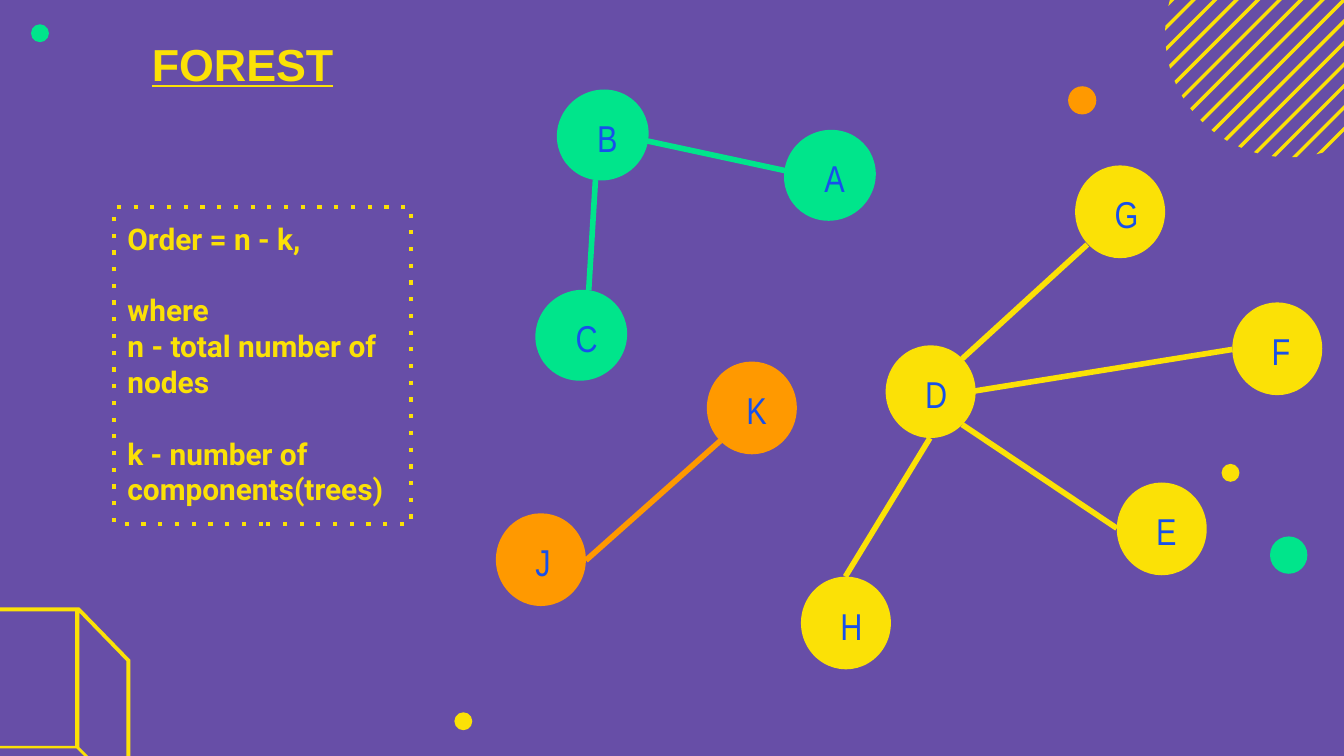
import math
import pptx
import pptx.dml.color
import pptx.enum.dml
import pptx.enum.shapes
import pptx.enum.text
import pptx.oxml.ns
import pptx.util
from lxml import etree

Pt = pptx.util.Pt
rgb = pptx.dml.color.RGBColor.from_string
KINDS = pptx.enum.shapes.MSO_SHAPE
GOLD, GREEN, AMBER, BLUE = "FBE106", "00E58B", "FF9900", "1750EB"


def paint(shape, hue):
    shape.shadow.inherit = False
    shape.fill.solid()
    shape.fill.fore_color.rgb = rgb(hue)
    shape.line.fill.background()


def write(shape, text, size, face, hue, bold=False):
    """Fill a top-left text frame, one paragraph per line of text."""
    frame = shape.text_frame
    frame.word_wrap = True
    frame.vertical_anchor = pptx.enum.text.MSO_ANCHOR.TOP
    frame.margin_left = frame.margin_right = Pt(7.2)
    frame.margin_top = frame.margin_bottom = Pt(7.2)
    frame.text = text
    for para in frame.paragraphs:
        para.alignment = pptx.enum.text.PP_ALIGN.LEFT
        for run in para.runs:
            run.font.size = Pt(size)
            run.font.name = face
            run.font.bold = bold
            run.font.color.rgb = rgb(hue)


deck = pptx.Presentation()
deck.slide_width, deck.slide_height = Pt(720), Pt(405)
slide = deck.slides.add_slide(deck.slide_layouts[6])
slide.background.fill.solid()
slide.background.fill.fore_color.rgb = rgb("674EA7")
shapes = slide.shapes

# Cube: outer outline with three faces cut out
cube = [
    [(-33.8, 325.4), (-33.8, 401), (-5.8, 429.1), (69.8, 429.1), (69.8, 353.5), (42.5, 325.4)],
    [(40.3, 327.6), (40.3, 399.6), (-31.7, 399.6), (-31.7, 327.6)],
    [(42.5, 328.3), (67.7, 354.2), (67.7, 425.5), (42.5, 400.3)],
    [(41, 401), (67, 427), (-5, 427), (-31, 401)],
]
build = shapes.build_freeform(Pt(cube[0][0][0]), Pt(cube[0][0][1]))
for face in cube:
    pts = [(Pt(x), Pt(y)) for x, y in face]
    if face is not cube[0]:
        build.move_to(*pts[0])
    build.add_line_segments(pts[1:], close=True)
paint(build.convert_to_shape(), GOLD)

# Striped disc: diagonal bands cut to a circle
mid_x, mid_y, radius = 690.5, 18, 66.3
for i in range(15):
    ends = []
    for edge, side in ((-1.3, 1), (-1.3, -1), (1.3, -1), (1.3, 1)):
        shift = ((i - 7) * 11.52 + edge) / 2
        reach = side * math.sqrt(radius ** 2 / 2 - shift ** 2)
        ends.append((Pt(mid_x + shift + reach), Pt(mid_y + shift - reach)))
    build = shapes.build_freeform(*ends[0])
    build.add_line_segments(ends[1:], close=True)
    paint(build.convert_to_shape(), GOLD)

# Loose dots
for x, y, size, hue in (
    (243.4, 381.6, 9.6, GOLD),
    (654.4, 248.5, 9.6, GOLD),
    (572.2, 46.2, 15.1, AMBER),
    (680.4, 287.4, 20, GREEN),
    (16.6, 13, 9.6, GREEN),
):
    paint(shapes.add_shape(KINDS.OVAL, Pt(x), Pt(y), Pt(size), Pt(size)), hue)

title = shapes.add_textbox(Pt(74.2), Pt(9.4), Pt(138.2), Pt(34.6))
write(title, "FOREST", 24, "Arial", GOLD, True)
title.text_frame.margin_top = Pt(10)
title.text_frame.paragraphs[0].runs[0].font.underline = True

# Nodes of the three trees
for name, x, y, hue, turn in (
    ("A", 420.5, 69.1, GREEN, 53.3),
    ("B", 298.8, 47.5, GREEN, 53.3),
    ("C", 287.3, 154.8, GREEN, 53.3),
    ("D", 474.5, 185, GOLD, 0),
    ("G", 576, 88.6, GOLD, 0),
    ("F", 660.2, 162, GOLD, 0),
    ("E", 598.3, 258.5, GOLD, 0),
    ("H", 429.1, 308.9, GOLD, 0),
    ("K", 378.7, 193.7, AMBER, 0),
    ("J", 265.7, 275, AMBER, 0),
):
    node = shapes.add_shape(KINDS.OVAL, Pt(x), Pt(y), Pt(48.2), Pt(49.7))
    node.rotation = turn
    paint(node, hue)
    label = shapes.add_textbox(Pt(x + 14), Pt(y + 6.8), Pt(20.2), Pt(38.9))
    write(label, name, 20, "Arial Narrow", BLUE)

# Edges
for x1, y1, x2, y2, hue in (
    (347, 75.6, 420.5, 91.4, GREEN),
    (319, 96.5, 315.4, 155.5, GREEN),
    (385.9, 236.2, 313.9, 300.2, AMBER),
    (515.5, 192.2, 582.5, 131, GOLD),
    (522, 209.5, 660.2, 187.2, GOLD),
    (598.3, 283, 515.5, 227.5, GOLD),
    (452.9, 308.9, 498.2, 234.7, GOLD),
):
    link = shapes.add_connector(
        pptx.enum.shapes.MSO_CONNECTOR.STRAIGHT, Pt(x1), Pt(y1), Pt(x2), Pt(y2))
    link.line.color.rgb = rgb(hue)
    link.line.width = Pt(3)
    etree.SubElement(link._element.spPr, pptx.oxml.ns.qn("a:effectLst"))

# Formula box
note = shapes.add_shape(KINDS.RECTANGLE, Pt(61.2), Pt(110.9), Pt(159.1), Pt(169.9))
note.shadow.inherit = False
note.fill.background()
note.line.color.rgb = rgb(GOLD)
note.line.width = Pt(2.25)
note.line.dash_style = pptx.enum.dml.MSO_LINE.SQUARE_DOT
# The preset named "dot" has wider gaps than the square dot
note.line._ln.find(pptx.oxml.ns.qn("a:prstDash")).set("val", "dot")
lines = ["Order = n - k,", "where", "n - total number of nodes",
         "k - number of components(trees)"]
write(note, "\n".join(lines), 16, "Roboto", GOLD, True)
for i in (1, 3):
    note.text_frame.paragraphs[i].space_before = Pt(19.2)

deck.save("out.pptx")
